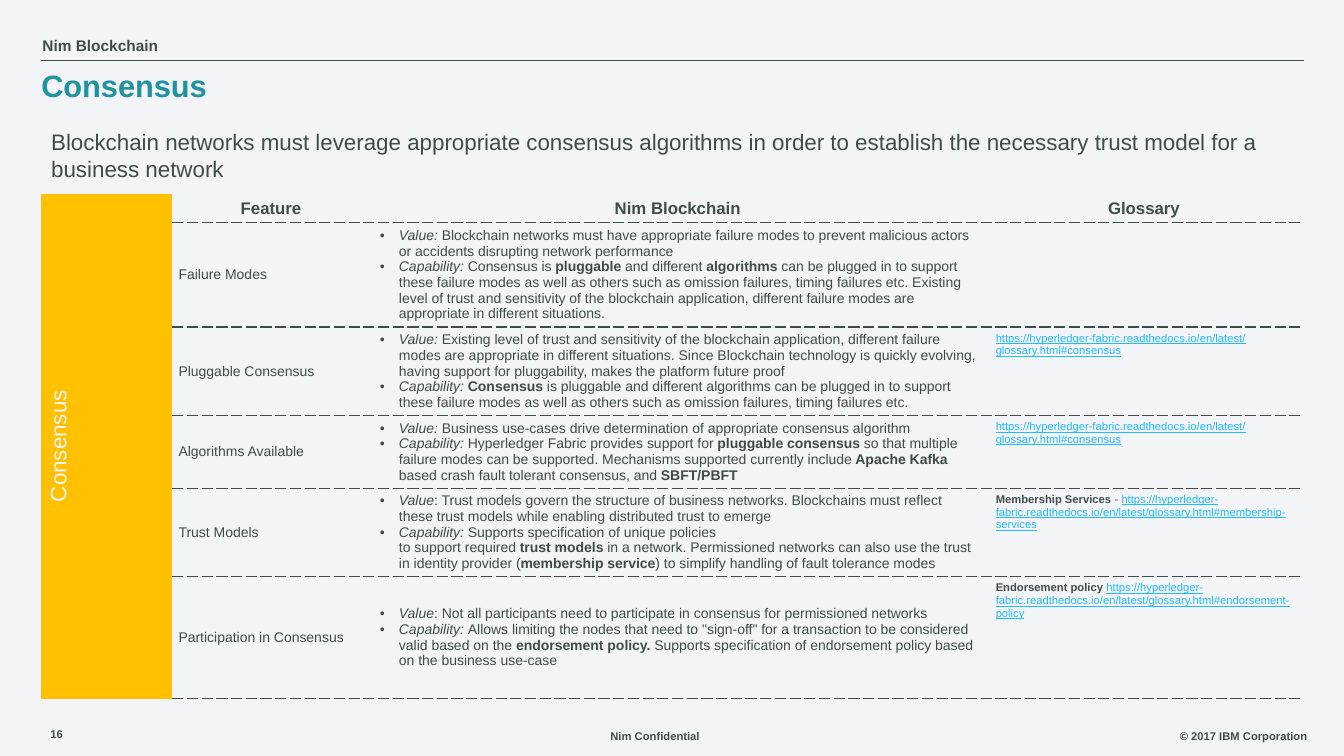
from dataclasses import dataclass

from lxml.etree import SubElement
from pptx import Presentation
from pptx.dml.color import RGBColor
from pptx.enum.shapes import MSO_CONNECTOR
from pptx.enum.text import MSO_ANCHOR, PP_ALIGN
from pptx.oxml import parse_xml
from pptx.oxml.ns import nsdecls, qn
from pptx.util import Cm, Pt

HUES = {"back": "F3F4F7", "ink": "404C4C", "mark": "414C4D", "teal": "20939E",
        "gold": "FFC000", "pale": "F3F4F6", "link": "21BAFB"}
PLAIN = "{2D5ABB26-0587-4C30-8999-92F81FD0307C}"
DOCS = "https://hyperledger-fabric.readthedocs.io/en/latest/glossary.html#"
LEFT, WIDE = 1.04, 31.78


@dataclass
class Label:
    text: str
    box: tuple
    size: float
    hue: str
    bold: bool = False
    align: PP_ALIGN = PP_ALIGN.LEFT
    pad: float = 0.25
    lines: float = 1.0


@dataclass
class Row:
    name: str
    value: str
    able: str
    high: float
    term: str = ""
    link: str = ""


LABELS = [
    Label("Nim Blockchain", (LEFT + 0.03, 0.84, 16.94, 0.69), 11, "mark", True, pad=0, lines=0.9),
    Label("© 2017 IBM Corporation", (28.12, 18.24, 5.08, 0.51), 8, "mark", True, PP_ALIGN.RIGHT),
    Label("Nim Confidential", (13.97, 18.24, 5.08, 0.51), 8, "mark", True, PP_ALIGN.CENTER),
    Label("16", (1.02, 18.19, 1.5, 0.61), 8, "mark", True),
    Label("Blockchain networks must leverage appropriate consensus algorithms in order to "
          "establish the necessary trust model for a business network",
          (LEFT, 3.1, WIDE, 1.63), 16, "ink"),
]
TITLE = Label("Consensus", (LEFT, 1.65, WIDE, 1.78), 22, "teal", True, pad=0, lines=0.9)

# "|" ends the italic lead, "*" encloses bold words, "~" is a no-break space
ROWS = [
    Row("Failure Modes",
        "Value:| Blockchain networks must have appropriate failure modes to prevent malicious "
        "actors or accidents disrupting network performance",
        "Capability: |Consensus is *pluggable *and different *algorithms* can be plugged in to "
        "support these failure modes as well as others such as omission failures, timing "
        "failures etc. Existing level of trust and sensitivity of the blockchain application, "
        "different failure modes are appropriate in different situations.", 2.63),
    Row("Pluggable Consensus",
        "Value: |Existing level of trust and sensitivity of the blockchain application, "
        "different failure modes are appropriate in different situations. Since Blockchain "
        "technology is quickly evolving, having support for pluggability, makes the platform "
        "future proof",
        "Capability: |*Consensus *is pluggable and different algorithms can be plugged in to "
        "support these failure modes as well as others such as omission failures, timing "
        "failures etc.", 2.23, "", "consensus"),
    Row("Algorithms Available",
        "Value:| Business use-cases drive determination of appropriate consensus algorithm",
        "Capability: |Hyperledger Fabric provides support for *pluggable consensus *so that "
        "multiple failure modes can be supported. Mechanisms supported currently include "
        "*Apache Kafka *based crash fault tolerant consensus, and *SBFT/PBFT*",
        1.83, "", "consensus"),
    Row("Trust Models",
        "Value|: Trust models govern the structure of business networks. Blockchains must "
        "reflect these trust models while enabling distributed trust to emerge",
        "Capability: |Supports~specification~of~unique~policies to~support~required*~trust~models*"
        "~in~a~network. Permissioned networks can also use the trust in identity provider "
        "(*membership service*) to simplify handling of fault tolerance modes",
        2.23, "*Membership Services* - ", "membership-services"),
    Row("Participation in Consensus",
        "Value|: Not all participants need to participate in consensus for permissioned networks",
        "Capability: |Allows limiting the nodes that need to \"sign-off\" for a transaction to be "
        "considered valid based on the *endorsement policy. *Supports specification of "
        "endorsement policy based on the business use-case",
        3.07, "*Endorsement policy *", "endorsement-policy"),
]


def shade(hue: str) -> RGBColor:
    return RGBColor.from_string(HUES[hue])


def apply(item, form: dict) -> None:
    for key, val in form.items():
        setattr(item, key, val)


def write(para, text: str, size: float, hue: str = "ink", **form) -> None:
    run = para.add_run()
    run.text = text.replace("~", chr(160))
    apply(run.font, {"name": "Arial", "size": Pt(size), **form})
    run.font.color.rgb = shade(hue)


def mix(para, text: str, size: float) -> None:
    for spot, part in enumerate(text.split("*")):
        if part:
            write(para, part, size, bold=spot % 2 == 1)


def place(shape, label: Label) -> None:
    apply(shape, dict(zip(("left", "top", "width", "height"), map(Cm, label.box))))
    frame = shape.text_frame
    apply(frame, {"word_wrap": True, "vertical_anchor": MSO_ANCHOR.TOP,
                  "margin_left": Cm(label.pad), "margin_right": Cm(label.pad),
                  "margin_top": Cm(0.13), "margin_bottom": Cm(0.13)})
    para = frame.paragraphs[0]
    apply(para, {"alignment": label.align, "line_spacing": label.lines})
    write(para, label.text, label.size, label.hue, bold=label.bold)


def bullet(para, text: str) -> None:
    props = para._p.get_or_add_pPr()
    props.set("marL", str(Cm(0.48)))
    props.set("indent", str(-Cm(0.48)))
    SubElement(props, qn("a:buFont")).set("typeface", "Arial")
    SubElement(props, qn("a:buChar")).set("char", "•")
    lead, rest = text.split("|")
    write(para, lead, 10, italic=True)
    mix(para, rest, 10)


def edge(cell) -> None:
    cell._tc.get_or_add_tcPr().insert(0, parse_xml(
        f'<a:lnB {nsdecls("a")} w="{Pt(1)}"><a:solidFill><a:srgbClr val="{HUES["ink"]}"/>'
        '</a:solidFill><a:prstDash val="sysDash"/></a:lnB>'))


def fill(grid, spot: int, row: Row) -> None:
    name, main, note = (grid.cell(spot, col) for col in (1, 2, 3))
    apply(name, {"vertical_anchor": MSO_ANCHOR.MIDDLE, "margin_left": Cm(0.16),
                 "margin_right": 0, "margin_top": 0, "margin_bottom": 0})
    write(name.text_frame.paragraphs[0], row.name, 10)
    main.vertical_anchor = MSO_ANCHOR.MIDDLE
    bullet(main.text_frame.paragraphs[0], row.value)
    bullet(main.text_frame.add_paragraph(), row.able)
    para = note.text_frame.paragraphs[0]
    mix(para, row.term, 8)
    if row.link:
        write(para, DOCS + row.link, 8, "link", underline=True)


def table(slide) -> None:
    highs = [0.7] + [row.high for row in ROWS]
    frame = slide.shapes.add_table(len(highs), 4, Cm(LEFT), Cm(4.88), Cm(WIDE), Cm(sum(highs)))
    grid = frame.table
    apply(grid, {"first_row": False, "horz_banding": False})
    grid._tbl.tblPr.find(qn("a:tableStyleId")).text = PLAIN
    for col, wide in zip(grid.columns, (3.3, 4.98, 15.52, 7.98)):
        col.width = Cm(wide)
    for line, high in zip(grid.rows, highs):
        line.height = Cm(high)
        for cell in line.cells:
            cell.fill.background()
        for cell in list(line.cells)[1:]:
            edge(cell)
    for col, head in enumerate(("Feature", "Nim Blockchain", "Glossary"), 1):
        cell = grid.cell(0, col)
        cell.vertical_anchor = MSO_ANCHOR.MIDDLE
        para = cell.text_frame.paragraphs[0]
        para.alignment = PP_ALIGN.CENTER
        write(para, head, 12, bold=True)
    for spot, row in enumerate(ROWS, 1):
        fill(grid, spot, row)
    side = grid.cell(0, 0)
    side.merge(grid.cell(len(ROWS), 0))
    side.fill.solid()
    side.fill.fore_color.rgb = shade("gold")
    side.vertical_anchor = MSO_ANCHOR.MIDDLE
    side._tc.get_or_add_tcPr().set("vert", "vert270")
    para = side.text_frame.paragraphs[0]
    para.alignment = PP_ALIGN.CENTER
    write(para, "Consensus", 16, "pale")


def rule(slide) -> None:
    line = slide.shapes.add_connector(MSO_CONNECTOR.STRAIGHT, Cm(LEFT), Cm(1.52),
                                      Cm(32.87), Cm(1.52))
    line.line.color.rgb = shade("ink")
    line.line.width = Pt(0.75)
    SubElement(line._element.spPr, qn("a:effectLst"))


def main() -> None:
    deck = Presentation()
    apply(deck, {"slide_width": Cm(33.87), "slide_height": Cm(19.05)})
    slide = deck.slides.add_slide(deck.slide_layouts[5])
    slide.background.fill.solid()
    slide.background.fill.fore_color.rgb = shade("back")
    place(slide.shapes.title, TITLE)
    rule(slide)
    table(slide)
    for label in LABELS:
        place(slide.shapes.add_textbox(0, 0, 0, 0), label)
    deck.save("out.pptx")


if __name__ == "__main__":
    main()
